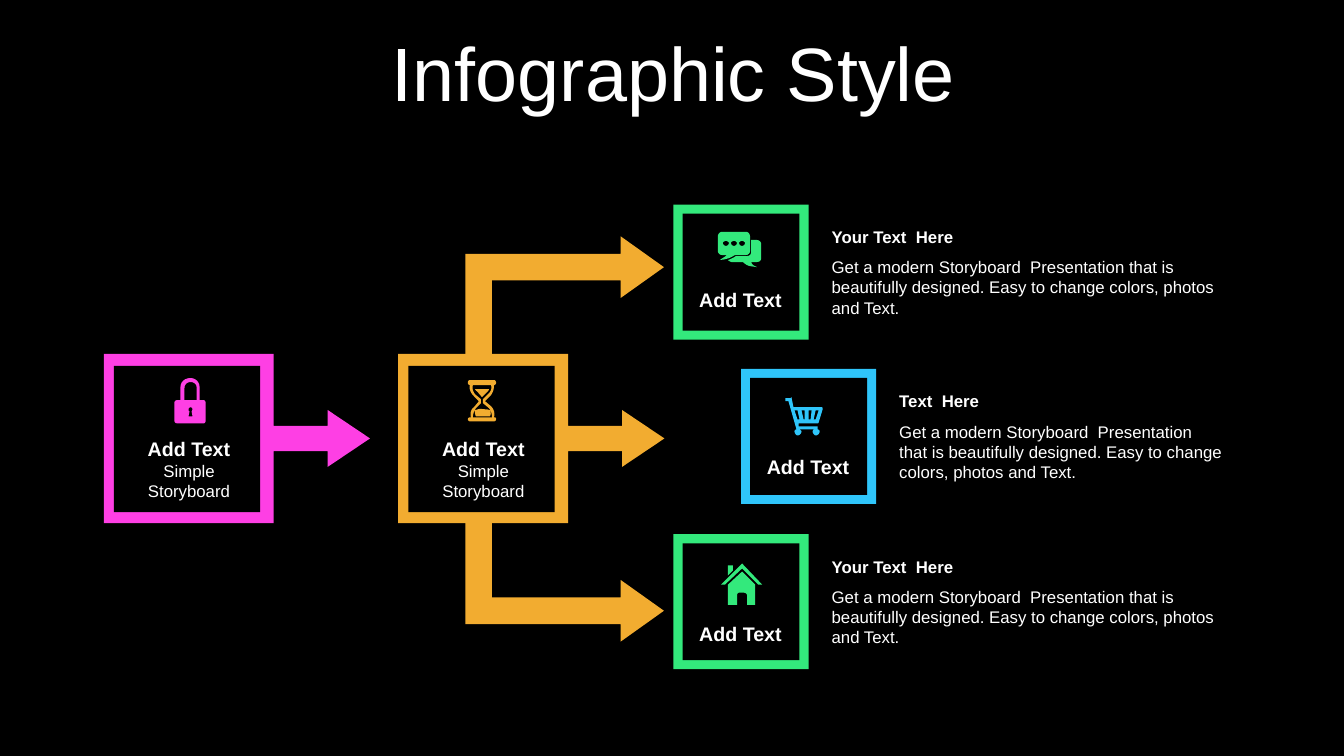
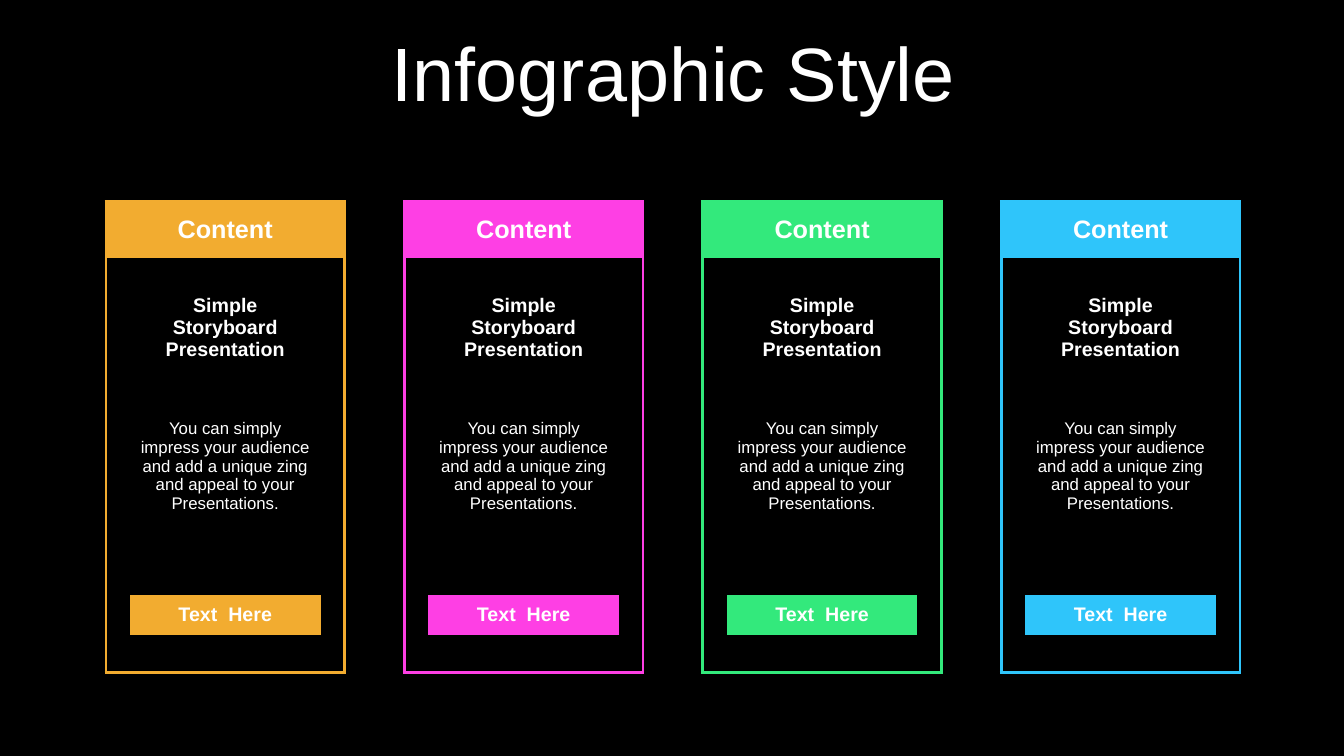
from dataclasses import dataclass

from lxml import etree
from pptx import Presentation
from pptx import util as u
from pptx.dml.color import RGBColor
from pptx.enum import shapes, text
from pptx.oxml.ns import qn

# Scale and shared look
PX = 9144  # EMU per px, 100 px to the inch
WIDTH, HEIGHT = 1333, 750
FONT = "Arial"
BLACK = RGBColor(0x00, 0x00, 0x00)
WHITE = RGBColor(0xFF, 0xFF, 0xFF)
ORANGE = RGBColor(0xF2, 0xAC, 0x30)
PINK = RGBColor(0xFE, 0x3F, 0xE4)
GREEN = RGBColor(0x33, 0xE9, 0x7C)
BLUE = RGBColor(0x2F, 0xC5, 0xFA)

HEADING = {"size": u.Pt(54), "bold": False}
HEADER = {"size": u.Pt(18), "bold": True}
LABEL = {"size": u.Pt(14), "bold": True}
STRONG = {"size": u.Pt(12), "bold": True}
BODY = {"size": u.Pt(12), "bold": False}

CENTER = text.PP_ALIGN.CENTER
LEFT = text.PP_ALIGN.LEFT
MIDDLE = text.MSO_ANCHOR.MIDDLE
KIND = shapes.MSO_SHAPE


@dataclass
class Step:
    x: int
    color: RGBColor
    icon: str


@dataclass
class Outcome:
    x: int
    y: int
    color: RGBColor
    icon: str
    label_dy: int
    heading: str
    text_w: int


# Icon outlines in slide px
def dot(x: int) -> str:
    return (f"M {x} 239 C {x - 1} 239 {x - 3} 240 {x - 3} 241 "
            f"C {x - 3} 243 {x - 1} 244 {x} 244 C {x + 1} 244 {x + 3} 243 {x + 3} 241 "
            f"C {x + 3} 240 {x + 1} 239 {x} 239 Z ")


CHAT = "".join(dot(x) for x in (720, 728, 736)) + (
    "M 745 238 L 750 238 C 753 238 755 240 755 242 L 755 256 C 755 259 753 260 750 260 "
    "L 745 260 C 746 262 746 263 751 265 C 743 264 741 264 737 260 L 726 260 "
    "C 725 260 723 259 722 258 C 725 257 727 256 730 254 L 741 254 "
    "C 744 254 745 252 745 250 Z "
    "M 716 230 L 740 230 C 742 230 744 232 744 235 L 744 249 C 744 251 742 253 740 253 "
    "L 729 253 C 724 256 722 257 714 258 C 718 255 719 255 721 253 L 716 253 "
    "C 714 253 712 251 712 249 L 712 235 C 712 232 714 230 716 230 Z")
HOURGLASS = (
    "M 479 406 C 481 406 484 406 486 407 C 487 409 487 411 486 413 L 472 413 "
    "C 471 411 471 409 471 407 C 474 406 477 405 479 406 Z "
    "M 471 386 L 485 386 C 485 387 484 388 484 388 L 478 394 L 473 388 "
    "C 472 388 472 387 471 386 Z "
    "M 469 382 C 468 385 469 388 471 391 L 477 396 L 477 400 L 472 405 "
    "C 470 408 469 411 469 414 L 488 414 C 488 411 487 407 485 405 L 479 400 "
    "L 479 396 L 485 390 C 487 388 488 385 487 382 Z "
    "M 466 377 L 490 377 C 491 377 492 378 492 380 C 492 381 491 382 490 382 "
    "C 490 386 489 389 487 392 L 481 398 L 487 403 C 490 406 491 410 490 414 "
    "C 492 414 492 415 492 416 C 492 417 491 418 490 418 L 466 418 "
    "C 465 418 464 417 464 416 C 464 415 465 414 466 414 L 467 414 "
    "C 466 410 467 406 470 404 L 475 398 L 470 393 C 467 390 465 386 466 382 "
    "C 465 382 464 381 464 380 C 464 378 465 377 466 377 Z")
CART = (
    "M 809 407 L 807 416 L 809 416 L 812 407 Z M 802 407 L 802 416 L 804 416 L 805 407 Z "
    "M 795 407 L 797 416 L 798 416 L 798 407 Z M 788 407 L 791 416 L 793 416 L 791 407 Z "
    "M 785 394 L 787 404 L 815 404 C 816 404 816 405 816 406 L 812 419 "
    "C 812 419 812 420 811 420 L 792 420 L 792 423 L 811 423 L 811 426 "
    "C 812 426 813 427 813 428 C 813 430 811 432 809 432 C 808 432 806 430 806 428 "
    "C 806 427 807 426 808 426 L 793 426 C 794 427 795 427 795 428 "
    "C 795 430 793 432 791 432 C 790 432 788 430 788 428 C 788 427 789 426 790 426 "
    "L 782 398 L 779 398 L 779 395 L 784 395 Z")
HOUSE = (
    "M 736 567 L 749 580 L 749 600 L 741 600 L 741 591 C 741 589 739 588 738 588 "
    "L 733 588 C 732 588 731 589 731 591 L 731 600 L 722 600 L 722 580 Z "
    "M 722 561 L 727 561 L 727 566 L 722 571 Z "
    "M 736 559 L 756 580 L 752 580 L 736 564 L 719 580 L 715 580 Z")
PADLOCK = (
    "M 189 404 C 188 404 187 405 187 406 C 187 407 187 408 188 408 L 187 413 L 191 413 "
    "L 190 408 C 190 408 191 407 191 406 C 191 405 190 404 189 404 Z "
    "M 189 379 C 186 379 183 381 183 385 L 183 397 L 195 397 L 195 384 "
    "C 195 381 192 379 189 379 Z "
    "M 189 375 C 194 375 198 379 198 384 L 198 397 L 202 397 C 203 397 204 398 204 400 "
    "L 204 417 C 204 419 203 420 202 420 L 176 420 C 174 420 173 419 173 417 L 173 400 "
    "C 173 398 174 397 176 397 L 179 397 L 179 384 C 179 379 183 375 189 375 Z")

# Slide content
TITLE = "Infographic Style"
DETAIL = ("Get a modern Storyboard  Presentation that is beautifully designed. "
          "Easy to change colors, photos and Text.")
STEPS = [Step(395, ORANGE, HOURGLASS), Step(103, PINK, PADLOCK)]
OUTCOMES = [
    Outcome(668, 203, GREEN, CHAT, 78, "Your Text  Here", 408),
    Outcome(735, 366, BLUE, CART, 80, "Text  Here", 341),
    Outcome(668, 530, GREEN, HOUSE, 82, "Your Text  Here", 408),
]
CARD_COLORS = [ORANGE, PINK, GREEN, BLUE]
CARD_COLS = [23, 189, 23]
CARD_ROWS = [56, 116, 84, 97, 37, 40, 37]
CARD_TEXT = {
    0: ("Content", HEADER),
    1: ("Simple Storyboard Presentation", LABEL),
    2: ("You can simply impress your audience and add a unique zing "
        "and appeal to your Presentations.", BODY),
    5: ("Text  Here", LABEL),
}
FILLED = {(0, 0), (0, 1), (0, 2), (5, 1)}


def px(*lengths: int) -> list[u.Emu]:
    return [u.Emu(n * PX) for n in lengths]


def write(tf, words: str, fmt: dict, align=CENTER):
    p = tf.paragraphs[0]
    p.alignment = align
    r = p.add_run()
    r.text = words
    for name, value in {"name": FONT, **fmt}.items():
        setattr(r.font, name, value)
    r.font.color.rgb = WHITE
    return p


def add_text(s, x: int, y: int, w: int, h: int, words: str, fmt: dict, align=CENTER):
    tf = s.shapes.add_textbox(*px(x, y, w, h)).text_frame
    tf.word_wrap = True
    write(tf, words, fmt, align)
    return tf


def paint(sp, color: RGBColor) -> None:
    sp.shadow.inherit = False
    sp.fill.solid()
    sp.fill.fore_color.rgb = color
    sp.line.fill.background()


def add_block(s, kind, x: int, y: int, w: int, h: int, color: RGBColor, adj=()):
    sp = s.shapes.add_shape(kind, *px(x, y, w, h))
    for i, value in enumerate(adj):
        sp.adjustments[i] = value
    paint(sp, color)
    return sp


def trace(contour: str, steps: int = 6) -> list[tuple[float, float]]:
    """Turn one M/L/C contour into points, with curves cut into short lines."""
    points, nums, cmd = [], [], "M"
    for token in contour.split():
        if token in "MLC":
            cmd = token
            continue
        nums.append(int(token) * PX)
        if len(nums) < (6 if cmd == "C" else 2):
            continue
        if cmd == "C":
            ctrl = [points[-1], *zip(nums[::2], nums[1::2])]
            for k in range(1, steps + 1):
                t = k / steps
                weights = ((1 - t) ** 3, 3 * t * (1 - t) ** 2, 3 * t * t * (1 - t), t ** 3)
                points.append(tuple(sum(w * c[axis] for w, c in zip(weights, ctrl))
                                    for axis in (0, 1)))
        else:
            points.append((nums[0], nums[1]))
        nums = []
    return points


def add_icon(s, outline: str, color: RGBColor) -> None:
    contours = [trace(c) for c in outline.split("Z") if c.strip()]
    fb = s.shapes.build_freeform(*contours[0][0], scale=1.0)
    for i, points in enumerate(contours):
        if i:
            fb.move_to(*points[0])
        fb.add_line_segments(points[1:], close=True)
    paint(fb.convert_to_shape(), color)


def add_slide(prs):
    s = prs.slides.add_slide(prs.slide_layouts[6])
    s.background.fill.solid()
    s.background.fill.fore_color.rgb = BLACK
    tf = add_text(s, 35, 37, 1266, 79, TITLE, HEADING)
    tf.vertical_anchor = MIDDLE
    tf.paragraphs[0].line_spacing = 0.9
    return s


# Flow slide
def add_step(s, step: Step) -> None:
    add_block(s, KIND.RIGHT_ARROW_CALLOUT, step.x, 351, 264, 168, step.color,
              (0.149, 0.168, 0.25, 0.638))
    add_block(s, KIND.RECTANGLE, step.x + 10, 363, 145, 145, BLACK)
    add_text(s, step.x + 26, 429, 117, 34, "Add Text", LABEL)
    add_text(s, step.x + 26, 452, 117, 50, "Simple Storyboard", BODY)
    add_icon(s, step.icon, step.color)


def add_branch(s, y: int, rotation: int, flipped: bool) -> None:
    sp = add_block(s, KIND.BENT_UP_ARROW, 501, y, 118, 197, ORANGE, (0.224, 0.259, 0.364))
    sp.rotation = rotation
    if flipped:
        sp._element.spPr.find(qn("a:xfrm")).set("flipV", "1")


def add_outcome(s, o: Outcome) -> None:
    add_block(s, KIND.RECTANGLE, o.x, o.y, 134, 134, o.color)
    add_block(s, KIND.RECTANGLE, o.x + 9, o.y + 9, 116, 116, BLACK)
    add_icon(s, o.icon, o.color)
    add_text(s, o.x + 8, o.y + o.label_dy, 117, 34, "Add Text", LABEL)
    add_text(s, o.x + 147, o.y + 17, o.text_w, 30, o.heading, STRONG, LEFT)
    add_text(s, o.x + 147, o.y + 47, o.text_w, 71, DETAIL, BODY, LEFT)


# Card slide
def set_border(cell, side: str, color: RGBColor | None) -> None:
    tc_pr = cell._tc.get_or_add_tcPr()
    ln = etree.SubElement(tc_pr, qn(f"a:ln{side}"), w=str(u.Pt(2.25)))
    if color is None:
        etree.SubElement(ln, qn("a:noFill"))
    else:
        fill = etree.SubElement(ln, qn("a:solidFill"))
        etree.SubElement(fill, qn("a:srgbClr"), val=str(color))


def add_card(s, x: int, color: RGBColor) -> None:
    n_rows, n_cols = len(CARD_ROWS), len(CARD_COLS)
    frame = s.shapes.add_table(n_rows, n_cols, *px(x, 200, sum(CARD_COLS), sum(CARD_ROWS)))
    tbl = frame.table
    tbl.first_row = tbl.horz_banding = False
    for col, w in zip(tbl.columns, px(*CARD_COLS)):
        col.width = w
    for row, h in zip(tbl.rows, px(*CARD_ROWS)):
        row.height = h
    for i in range(n_rows):
        for j in range(n_cols):
            cell = tbl.cell(i, j)
            outer = {"L": j == 0, "R": j == n_cols - 1, "T": i == 0, "B": i == n_rows - 1}
            for side, on_edge in outer.items():
                set_border(cell, side, color if on_edge else None)
            if (i, j) in FILLED:
                cell.fill.solid()
                cell.fill.fore_color.rgb = color
            else:
                cell.fill.background()
            cell.margin_top = cell.margin_bottom = 0
            cell.vertical_anchor = MIDDLE
    tbl.cell(2, 1).merge(tbl.cell(3, 1))
    for i, (words, fmt) in CARD_TEXT.items():
        write(tbl.cell(i, 1).text_frame, words, fmt)
    tbl.cell(1, 1).margin_top = px(22)[0]


def main() -> None:
    prs = Presentation()
    prs.slide_width, prs.slide_height = px(WIDTH, HEIGHT)

    s = add_slide(prs)
    for step in STEPS:
        add_step(s, step)
    add_branch(s, 195, 270, True)
    add_branch(s, 479, 90, False)
    for outcome in OUTCOMES:
        add_outcome(s, outcome)

    s = add_slide(prs)
    for i, color in enumerate(CARD_COLORS):
        add_card(s, 105 + 296 * i, color)
    prs.save("out.pptx")


if __name__ == "__main__":
    main()
